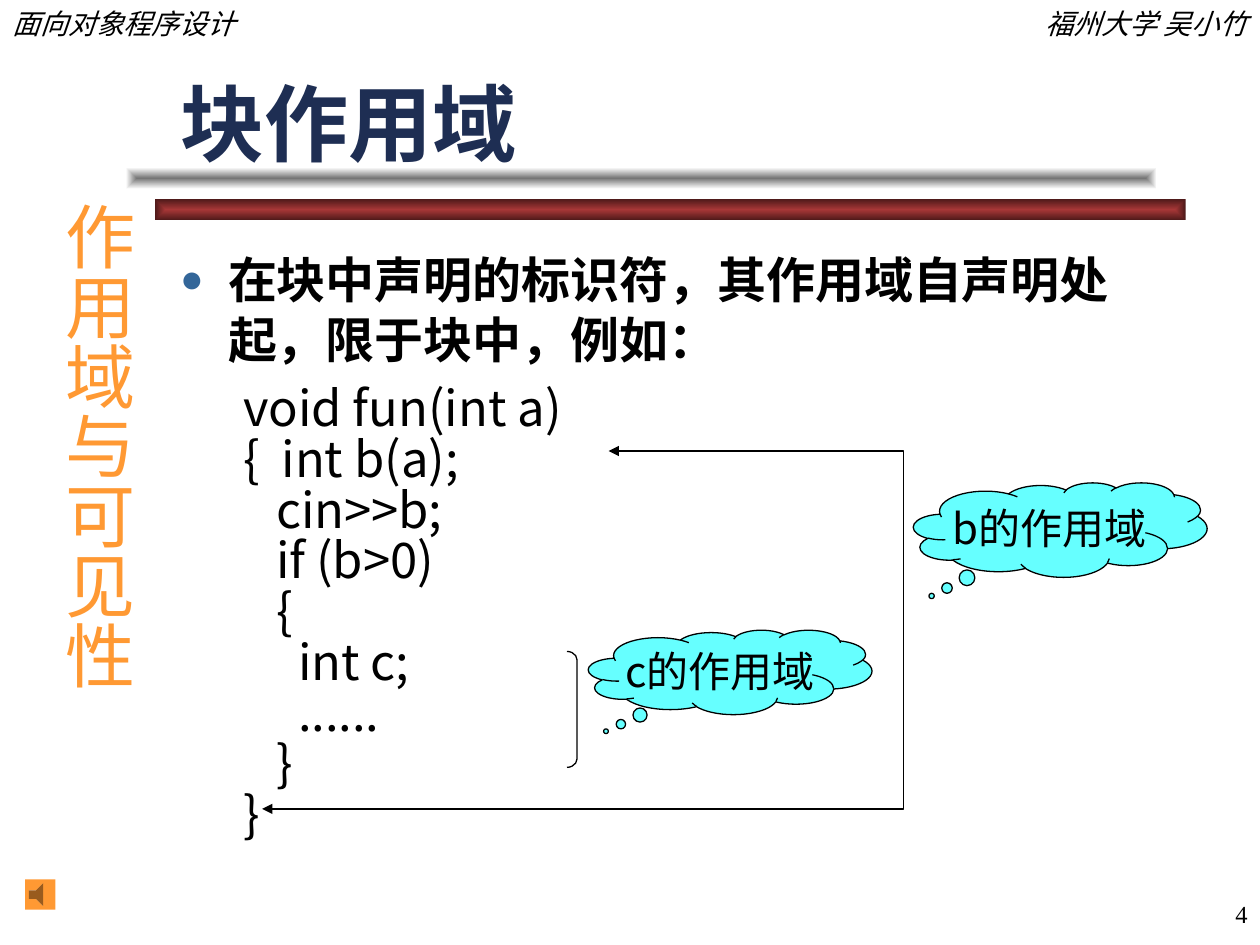
from lxml import etree
from pptx import Presentation
from pptx.dml.color import RGBColor
from pptx.enum.shapes import MSO_SHAPE
from pptx.enum.text import MSO_ANCHOR, MSO_AUTO_SIZE, PP_ALIGN
from pptx.oxml.ns import qn
from pptx.util import Inches, Pt

COLORS = {
    "black": "000000", "navy": "1E2E53", "bullet": "336699", "orange": "FF9933",
    "cloud": "66FFFF", "red": "A73737", "dark red": "4D1919",
    "gray": "767676", "white": "FFFFFF",
}
SANS, SERIF = "Noto Sans CJK SC", "Times New Roman"


def rgb(name):
    return RGBColor.from_string(COLORS[name])


def add_run(paragraph, text, size, font, color="black", bold=False, italic=False):
    run = paragraph.add_run()
    run.text = text
    run.font.size, run.font.name = Pt(size), font
    run.font.bold, run.font.italic = bold, italic
    run.font.color.rgb = rgb(color)
    etree.SubElement(run.font._element, qn("a:ea"), typeface=SANS)


prs = Presentation()
prs.slide_width, prs.slide_height = Inches(10), Inches(7.5)
slide = prs.slides.add_slide(prs.slide_layouts[1])
shapes = slide.shapes

for left, top, center, edge in [(1.23, 1.58, "red", "dark red"), (1, 1.33, "gray", "white")]:
    bar = shapes.add_shape(MSO_SHAPE.RECTANGLE, Inches(left), Inches(top), Inches(8.18), Inches(0.17))
    bar.shadow.inherit = False
    bar.line.fill.background()
    bar.fill.gradient()
    for stop, color in zip(bar.fill.gradient_stops, (center, edge)):
        stop.color.rgb = rgb(color)
    gradient = bar._element.spPr.find(qn("a:gradFill"))
    gradient.remove(gradient.find(qn("a:lin")))
    shade = etree.SubElement(gradient, qn("a:path"), path="rect")
    etree.SubElement(shade, qn("a:fillToRect"), l="50000", t="50000", r="50000", b="50000")

for text, left, top, width, height, size, align, italic in [
    ("面向对象程序设计", 0, 0, 3.08, 0.37, 16, PP_ALIGN.LEFT, True),
    ("福州大学 吴小竹", 6.92, 0, 3.08, 0.37, 16, PP_ALIGN.RIGHT, True),
    ("4", 7.92, 7, 2.08, 0.5, 14, PP_ALIGN.RIGHT, False),
]:
    margin_note = shapes.add_textbox(Inches(left), Inches(top), Inches(width), Inches(height))
    margin_note.text_frame.word_wrap = True
    margin_note.text_frame.vertical_anchor = MSO_ANCHOR.MIDDLE
    paragraph = margin_note.text_frame.paragraphs[0]
    paragraph.alignment = align
    add_run(paragraph, text, size, SERIF, italic=italic)

title = shapes.title
title.left, title.top, title.width, title.height = Inches(1.33), Inches(0.5), Inches(7.92), Inches(0.92)
title.text_frame.auto_size = MSO_AUTO_SIZE.NONE
title.text_frame.vertical_anchor = MSO_ANCHOR.BOTTOM
title.text_frame.paragraphs[0].alignment = PP_ALIGN.LEFT
add_run(title.text_frame.paragraphs[0], "块作用域", 48, "Arial", "navy", bold=True)

body = slide.placeholders[1]
body.left, body.top, body.width, body.height = Inches(1.33), Inches(1.92), Inches(7.92), Inches(5)
body.text_frame.auto_size = MSO_AUTO_SIZE.NONE
statement = body.text_frame.paragraphs[0]
statement.space_before, statement.space_after = Pt(0), Pt(10)
statement.line_spacing = Pt(34.3)
bullet_format = statement._p.get_or_add_pPr()
bullet_format.set("marL", str(Inches(0.38)))
bullet_format.set("indent", str(Inches(-0.38)))
bullet_color = etree.SubElement(bullet_format, qn("a:buClr"))
etree.SubElement(bullet_color, qn("a:srgbClr"), val=COLORS["bullet"])
etree.SubElement(bullet_format, qn("a:buSzPct"), val="80000")
etree.SubElement(bullet_format, qn("a:buChar"), char="●")
add_run(statement, "在块中声明的标识符，其作用域自声明处起，限于块中，例如：", 28, SANS, bold=True)

for code in [
    "void fun(int a)",
    "{  int b(a);",
    "   cin>>b;",
    "   if (b>0)",
    "   {",
    "     int c;",
    "     ......",
    "   }",
    "}",
]:
    code_line = body.text_frame.add_paragraph()
    code_line.level = 1
    code_line.space_before, code_line.space_after = Pt(7), Pt(0)
    code_line.line_spacing = Pt(22)
    code_format = code_line._p.get_or_add_pPr()
    code_format.set("marL", str(Inches(0.81)))
    code_format.set("indent", str(Inches(-0.31)))
    etree.SubElement(code_format, qn("a:buNone"))
    add_run(code_line, code, 28, SANS)

for text, left, top, width, height in [
    ("c的作用域", 4.67, 5, 2.25, 0.67),
    ("b的作用域", 7.25, 3.83, 2.33, 0.75),
]:
    cloud = shapes.add_shape(MSO_SHAPE.CLOUD_CALLOUT, Inches(left), Inches(top), Inches(width), Inches(height))
    cloud.adjustments[0], cloud.adjustments[1] = -0.438, 0.7
    cloud.shadow.inherit = False
    cloud.fill.solid()
    cloud.fill.fore_color.rgb = rgb("cloud")
    cloud.line.color.rgb = rgb("black")
    cloud.line.width = Pt(0.75)
    cloud.text_frame.word_wrap = False
    cloud.text_frame.vertical_anchor = MSO_ANCHOR.MIDDLE
    cloud.text_frame.paragraphs[0].alignment = PP_ALIGN.CENTER
    add_run(cloud.text_frame.paragraphs[0], text, 24, SANS)

c_scope = shapes.add_shape(MSO_SHAPE.RIGHT_BRACKET, Inches(4.5), Inches(5.17), Inches(0.08), Inches(0.92))
c_scope.adjustments[0] = 0.85

scope_corners = [(Inches(x), Inches(y)) for x, y in [(4.83, 3.58), (7.17, 3.58), (7.17, 6.42), (2.08, 6.42)]]
scope_outline = shapes.build_freeform(*scope_corners[0])
scope_outline.add_line_segments(scope_corners[1:], close=False)
b_scope = scope_outline.convert_to_shape()

for scope in (c_scope, b_scope):
    scope.shadow.inherit = False
    scope.fill.background()
    scope.line.color.rgb = rgb("black")
    scope.line.width = Pt(0.75)
for end in ("a:headEnd", "a:tailEnd"):
    etree.SubElement(b_scope._element.spPr.find(qn("a:ln")), qn(end), type="triangle", w="med", len="med")

chapter = shapes.add_textbox(Inches(0.3), Inches(1.5), Inches(0.86), Inches(4.83))
chapter_frame = chapter.text_frame
chapter_frame.word_wrap = True
chapter_frame.margin_left = chapter_frame.margin_right = Inches(0.05)
chapter_frame.margin_top = chapter_frame.margin_bottom = Inches(0.1)
chapter_frame._txBody.bodyPr.set("vert", "eaVert")
chapter_frame.paragraphs[0].alignment = PP_ALIGN.CENTER
add_run(chapter_frame.paragraphs[0], "作用域与可见性", 40, SERIF, "orange")

sound = shapes.add_shape(MSO_SHAPE.ACTION_BUTTON_SOUND, Inches(0.2), Inches(6.98), Inches(0.24), Inches(0.24))
sound.shadow.inherit = False
sound.fill.solid()
sound.fill.fore_color.rgb = rgb("orange")
sound.line.fill.background()

prs.save("out.pptx")
